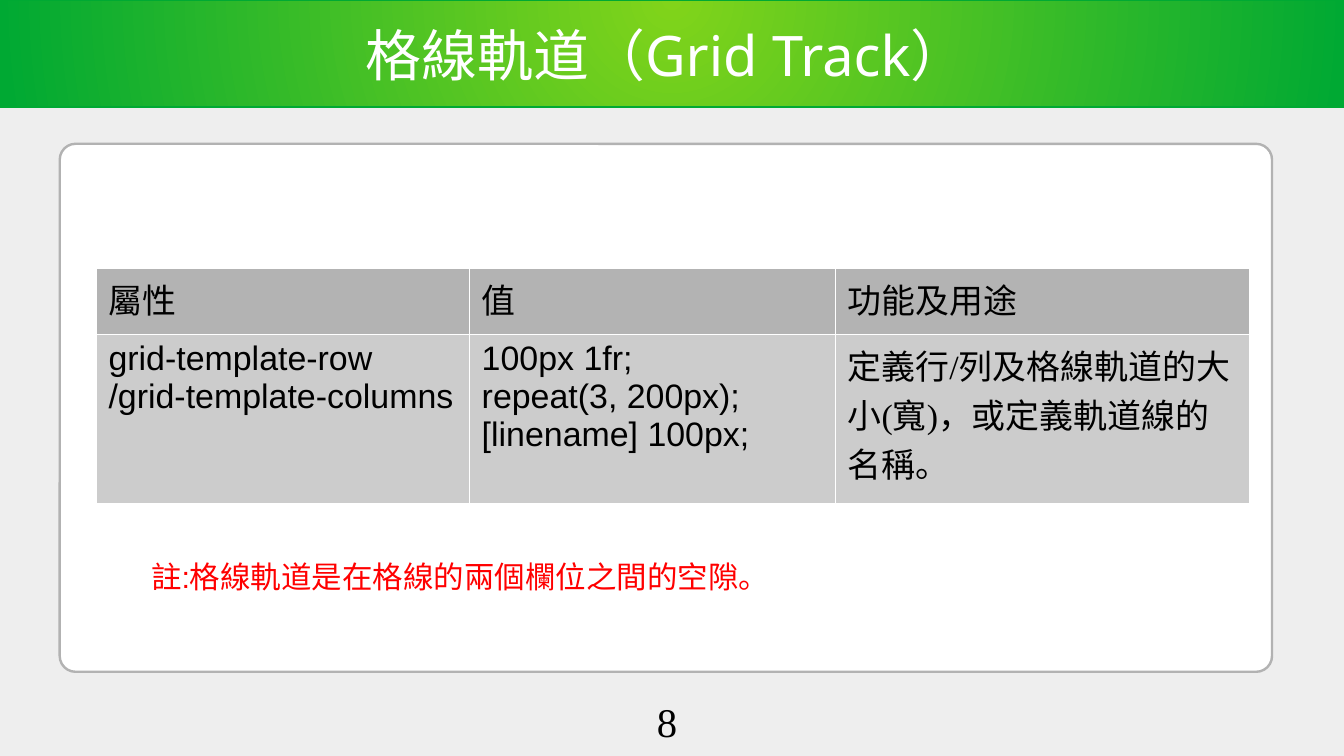
from pptx import Presentation
from pptx.dml.color import RGBColor
from pptx.enum.shapes import MSO_SHAPE as Shape
from pptx.enum.text import MSO_ANCHOR as Anchor, MSO_AUTO_SIZE as AutoSize, PP_ALIGN as Align
from pptx.oxml import parse_xml
from pptx.oxml.ns import nsdecls, qn
from pptx.util import Inches, Pt

COLORS = {
    "background": "EEEEEE", "lime": "81D41A", "green": "00A933", "white": "FFFFFF",
    "panel line": "B2B2B2", "header": "B3B3B3", "body": "CCCCCC",
    "black": "000000", "note": "FF0000",
}
WIDTH, HEIGHT = 11.02, 6.2
MARGIN, PANEL_WIDTH = 0.49, 9.94


def color(name):
    return RGBColor.from_string(COLORS[name])


def write(text_frame, text, size, font, color_name, align=Align.LEFT):
    text_frame.text = text
    text_frame.word_wrap = True
    for paragraph in text_frame.paragraphs:
        paragraph.alignment = align
        for run in paragraph.runs:
            run.font.size, run.font.name = Pt(size), font
            run.font.color.rgb = color(color_name)


presentation = Presentation()
presentation.slide_width, presentation.slide_height = Inches(WIDTH), Inches(HEIGHT)
slide = presentation.slides.add_slide(presentation.slide_layouts[5])
slide.background.fill.solid()
slide.background.fill.fore_color.rgb = color("background")

# Header band with a glow from the top centre
band = slide.shapes.add_shape(Shape.RECTANGLE, 0, 0, Inches(WIDTH), Inches(0.88))
band.fill.gradient()
for stop, name, position in zip(band.fill.gradient_stops, ("lime", "green"), (0, 1)):
    stop.color.rgb, stop.position = color(name), position
linear = band.element.spPr.find(qn("a:gradFill")).find(qn("a:lin"))
linear.getparent().replace(linear, parse_xml(
    f'<a:path {nsdecls("a")} path="circle">'
    '<a:fillToRect l="50000" t="0" r="50000" b="100000"/></a:path>'))

# White content panel
panel = slide.shapes.add_shape(Shape.ROUNDED_RECTANGLE, Inches(MARGIN), Inches(1.18),
                               Inches(PANEL_WIDTH), Inches(4.33))
panel.adjustments[0] = 0.03
panel.fill.solid()
panel.fill.fore_color.rgb = color("white")

for shape, line_color in ((band, "green"), (panel, "panel line")):
    shape.shadow.inherit = False
    shape.line.color.rgb = color(line_color)
    shape.line.width = Pt(1.42)

# Title, in front of the band
title = slide.shapes.title
title.left, title.top = Inches(MARGIN), Inches(0.1)
title.width, title.height = Inches(PANEL_WIDTH), Inches(0.69)
panel.element.addnext(title.element)
title_frame = title.text_frame
write(title_frame, "格線軌道（Grid Track）", 33, "Noto Sans", "white", Align.CENTER)
title_frame.auto_size = AutoSize.NONE
title_frame.vertical_anchor = Anchor.MIDDLE
title_frame.margin_left = title_frame.margin_right = 0
title_frame.margin_top = title_frame.margin_bottom = 0

# Property table
SERIF, SANS = "Times New Roman", "Arial"
rows = [
    (0.54, "header", [("屬性", SERIF), ("值", SERIF), ("功能及用途", SERIF)]),
    (1.39, "body", [
        ("grid-template-row\n/grid-template-columns", SANS),
        ("100px 1fr;\nrepeat(3, 200px);\n[linename] 100px;", SANS),
        ("定義行/列及格線軌道的大小(寬)，或定義軌道線的名稱。", SERIF),
    ]),
]
column_widths = (3.06, 3, 3.39)
table = slide.shapes.add_table(len(rows), len(column_widths), Inches(0.79), Inches(2.2),
                               Inches(sum(column_widths)), Inches(1.93)).table
table.first_row = table.horz_banding = False
for column, width in zip(table.columns, column_widths):
    column.width = Inches(width)
for row, (height, fill_name, entries) in zip(table.rows, rows):
    row.height = Inches(height)
    for cell, (text, font) in zip(row.cells, entries):
        write(cell.text_frame, text, 20, font, "black")
        cell.fill.solid()
        cell.fill.fore_color.rgb = color(fill_name)
        properties = cell._tc.get_or_add_tcPr()
        for index, side in enumerate(("lnL", "lnR", "lnT", "lnB")):
            properties.insert(index, parse_xml(
                f'<a:{side} {nsdecls("a")} w="{Pt(0.06)}"><a:solidFill>'
                f'<a:srgbClr val="{COLORS["white"]}"/></a:solidFill></a:{side}>'))

# Note and page number
for left, top, width, height, text, size, font, name, align in (
    (1.14, 4.53, 5.39, 0.43, "註:格線軌道是在格線的兩個欄位之間的空隙。",
     18, SANS, "note", Align.LEFT),
    (3.94, 5.67, 3.06, 0.47, "8", 24, SERIF, "black", Align.CENTER),
):
    box = slide.shapes.add_textbox(Inches(left), Inches(top), Inches(width), Inches(height))
    write(box.text_frame, text, size, font, name, align)

presentation.save("out.pptx")
